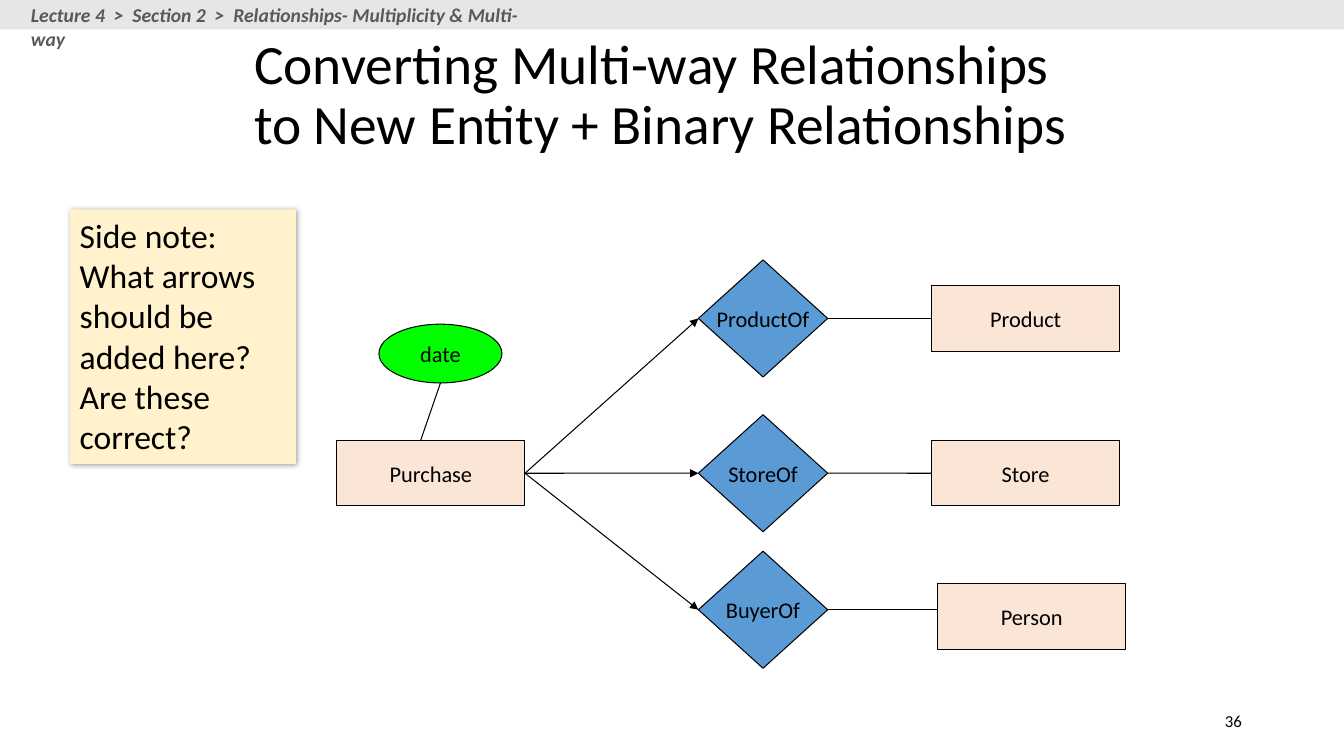
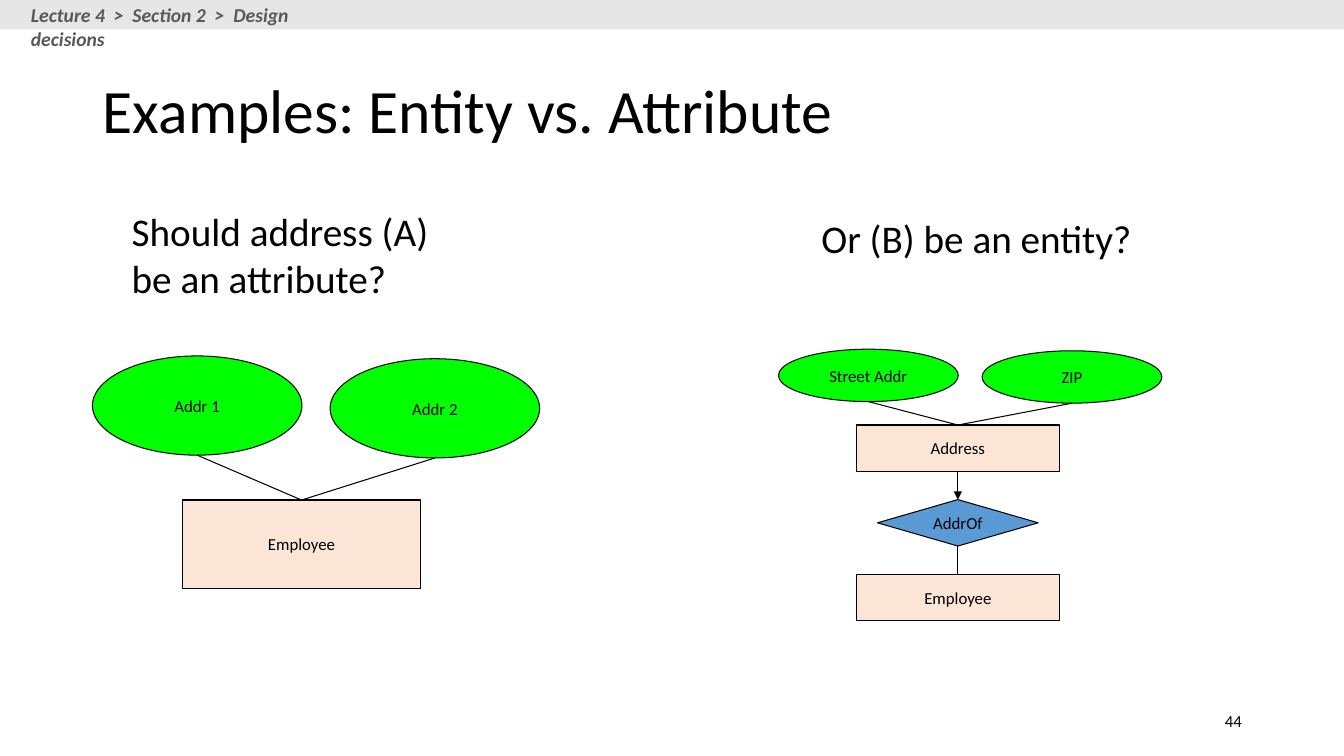
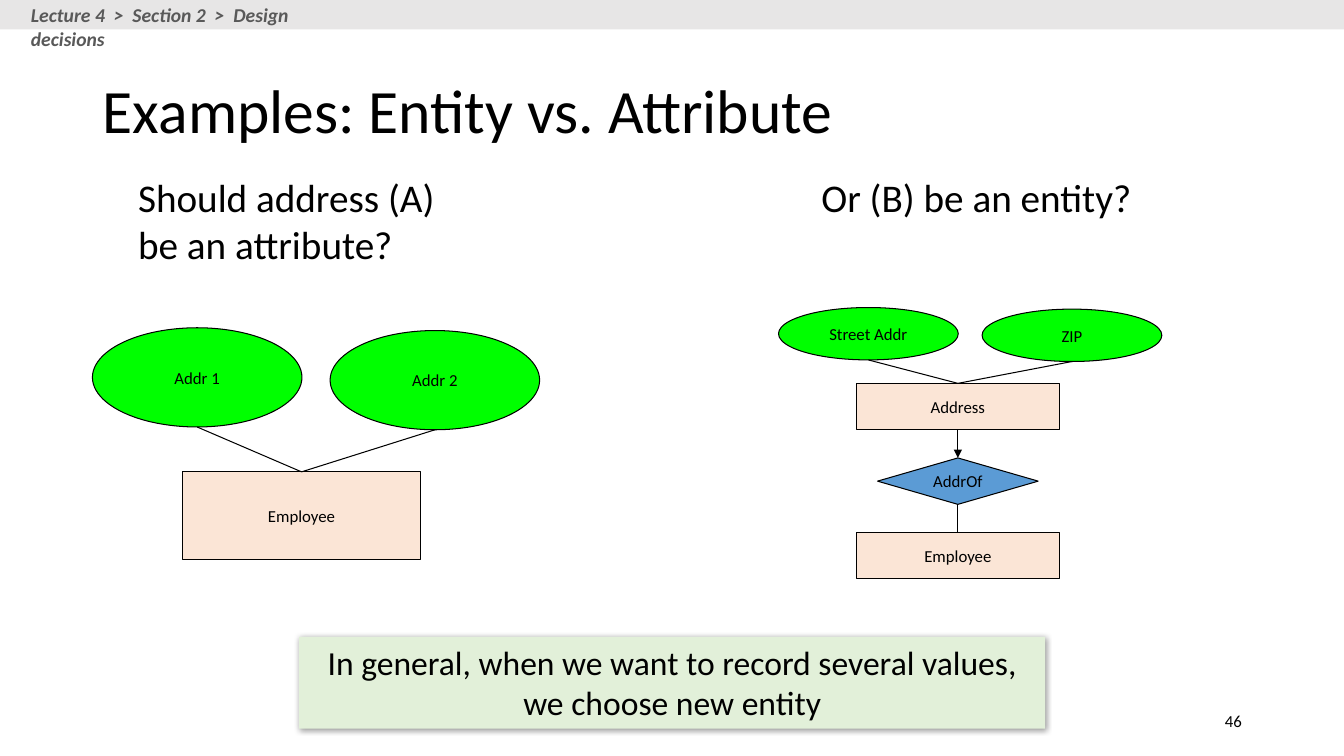
"""Builds three slides on entity relationship diagrams."""
from lxml.etree import SubElement
from pptx import Presentation
from pptx.dml.color import RGBColor
from pptx.enum.shapes import MSO_CONNECTOR, MSO_SHAPE
from pptx.enum.text import MSO_ANCHOR, MSO_AUTO_SIZE, PP_ALIGN
from pptx.oxml.ns import qn
from pptx.util import Cm, Pt

HUES = {
    "ink": "000000", "crumb": "595959", "band": "E7E6E6", "note": "FFF2CC",
    "sum": "E2F0D9", "box": "FBE5D6", "oval": "00FF00", "kite": "5B9BD5",
}
FORMS = {"box": MSO_SHAPE.RECTANGLE, "oval": MSO_SHAPE.OVAL, "kite": MSO_SHAPE.DIAMOND}
TOP, LEFT, FOOT, RIGHT = range(4)
WIDE, HIGH = 33.87, 19.05


def hue(name):
    return RGBColor.from_string(HUES[name])


def apply(item, values):
    for name, value in values.items():
        setattr(item, name, value)


def write(shape, text, size, color="ink", align=PP_ALIGN.LEFT, anchor=MSO_ANCHOR.TOP,
          wrap=True, space=None, **font):
    frame = shape.text_frame
    frame.text = text
    apply(frame, {"auto_size": MSO_AUTO_SIZE.NONE, "word_wrap": wrap,
                  "vertical_anchor": anchor})
    para = frame.paragraphs[0]
    apply(para, {"alignment": align, "line_spacing": space})
    apply(para.font, {"name": "Calibri", "size": Pt(size), **font})
    para.font.color.rgb = hue(color)


def label(slide, area, text, size, **style):
    shape = slide.shapes.add_textbox(*map(Cm, area))
    write(shape, text, size, **style)


def block(slide, area, fill, form=MSO_SHAPE.RECTANGLE):
    shape = slide.shapes.add_shape(form, *map(Cm, area))
    shape.shadow.inherit = False
    shape.fill.solid()
    shape.fill.fore_color.rgb = hue(fill)
    shape.line.fill.background()
    return shape


def node(slide, kind, area, text, size=12):
    shape = block(slide, area, kind, FORMS[kind])
    shape.line.color.rgb = hue("ink")
    shape.line.width = Pt(0.75)
    write(shape, text, size, align=PP_ALIGN.CENTER, anchor=MSO_ANCHOR.MIDDLE, wrap=False)
    return shape


def card(slide, area, fill, text, align=PP_ALIGN.LEFT):
    shape = block(slide, area, fill)
    list_ = shape.element.spPr.find(qn("a:effectLst"))
    shade = SubElement(list_, qn("a:outerShdw"), blurRad=str(Pt(4)), dist=str(Pt(1)),
                       dir="2700000", algn="tl", rotWithShape="0")
    tone = SubElement(shade, qn("a:srgbClr"), val=HUES["ink"])
    SubElement(tone, qn("a:alpha"), val="40000")
    write(shape, text, 24, align=align)


def spot(shape, side):
    mid = shape.left + shape.width // 2, shape.top + shape.height // 2
    return {
        TOP: (mid[0], shape.top), LEFT: (shape.left, mid[1]),
        FOOT: (mid[0], shape.top + shape.height),
        RIGHT: (shape.left + shape.width, mid[1]),
    }[side]


def link(slide, start, end, tip=False):
    """Draws a line between ends that are each a point or a (shape, side) pair."""
    ends = [each if isinstance(each[0], int) else spot(*each) for each in (start, end)]
    line = slide.shapes.add_connector(MSO_CONNECTOR.STRAIGHT, *ends[0], *ends[1])
    for each, join in ((start, line.begin_connect), (end, line.end_connect)):
        if not isinstance(each[0], int):
            join(*each)
    line.line.color.rgb = hue("ink")
    line.line.width = Pt(0.75)
    if tip:
        SubElement(line.line._get_or_add_ln(), qn("a:tailEnd"), type="triangle")
    SubElement(line.element.spPr, qn("a:effectLst"))


def page(deck, title, crumbs, span, number, area=(2.34, 1.02, 29.2, 3.68), size=44):
    slide = deck.slides.add_slide(deck.slide_layouts[5])
    head = slide.shapes.title
    apply(head, dict(zip(("left", "top", "width", "height"), map(Cm, area))))
    write(head, title, size, anchor=MSO_ANCHOR.MIDDLE, space=0.9)
    block(slide, (0, 0, WIDE, 0.74), "band")
    label(slide, (0.53, -0.05, span, 0.86), "  >  ".join(("Lecture 4", "Section 2", crumbs)),
          14, color="crumb", bold=True, italic=True)
    label(slide, (23.93, 17.65, 7.62, 1.02), number, 12, align=PP_ALIGN.RIGHT,
          anchor=MSO_ANCHOR.MIDDLE)
    return slide


def convert(deck):
    slide = page(deck, "Converting Multi-way Relationships to New Entity + Binary Relationships",
                 "Relationships- Multiplicity & Multi-way", 13.23, "36",
                 (6.15, 0.84, 21.59, 3.18), 39.6)
    card(slide, (1.76, 5.28, 5.7, 6.41), "note",
         "Side note: What arrows should be added here? Are these correct?")
    buy = node(slide, "box", (8.49, 11.1, 4.74, 1.65), "Purchase", 16)
    date = node(slide, "oval", (9.55, 8.17, 3.1, 1.48), "date", 16)
    link(slide, (Cm(10.6), buy.top), spot(date, FOOT))
    rows = (("ProductOf", 6.55, "Product", 23.48, 7.2),
            ("StoreOf", 10.45, "Store", 23.48, 11.1),
            ("BuyerOf", 13.89, "Person", 23.63, 14.71))
    for role, high, name, left, top in rows:
        kite = node(slide, "kite", (17.6, high, 3.26, 2.95), role, 16)
        box = node(slide, "box", (left, top, 4.74, 1.65), name, 16)
        link(slide, (buy, RIGHT), (kite, LEFT), tip=True)
        level = name != "Person"
        link(slide, (kite, RIGHT),
             (box, LEFT) if level else (box.left, spot(kite, RIGHT)[1]))


def fork(slide, box, ovals):
    """Draws ovals, given as (area, text) pairs, and ties them to the top of a box."""
    for area, text in ovals:
        oval = node(slide, "oval", area, text)
        link(slide, spot(oval, FOOT), (box, TOP))


def compare(deck, number, ask, reply, left, right):
    slide = page(deck, "Examples: Entity vs. Attribute", "Design decisions", 8.84, number)
    label(slide, (*ask, 8.61, 2.64), "Should address (A) be an attribute?", 28)
    label(slide, (20.45, reply, 8.61, 1.45), "Or (B) be an entity?", 28)

    staff = node(slide, "box", (4.6, left + 3.63, 6, 2.22), "Employee")
    fork(slide, staff, (((2.33, left, 5.28, 2.5), "Addr 1"),
                        ((8.32, left + 0.07, 5.28, 2.5), "Addr 2")))

    chain = [node(slide, kind, (24.14 - width / 2, right + 1.91 + 1.88 * row, width, 1.17), text)
             for row, (kind, width, text) in enumerate((
                 ("box", 5.13, "Address"), ("kite", 4.05, "AddrOf"), ("box", 5.13, "Employee")))]
    fork(slide, chain[0], (((19.62, right, 4.53, 1.32), "Street Addr"),
                           ((24.75, right + 0.04, 4.53, 1.32), "ZIP")))
    link(slide, (chain[0], FOOT), (chain[1], TOP), tip=True)
    link(slide, (chain[1], FOOT), (chain[2], TOP))
    return slide


def main():
    deck = Presentation()
    apply(deck, {"slide_width": Cm(WIDE), "slide_height": Cm(HIGH)})
    convert(deck)
    compare(deck, "44", (3.07, 5.1), 5.28, 8.97, 8.8)
    last = compare(deck, "46", (3.23, 4.24), 4.24, 8.26, 7.75)
    card(last, (7.54, 16.05, 18.8, 2.31), "sum",
         "In general, when we want to record several values, we choose new entity",
         PP_ALIGN.CENTER)
    deck.save("out.pptx")


if __name__ == "__main__":
    main()
